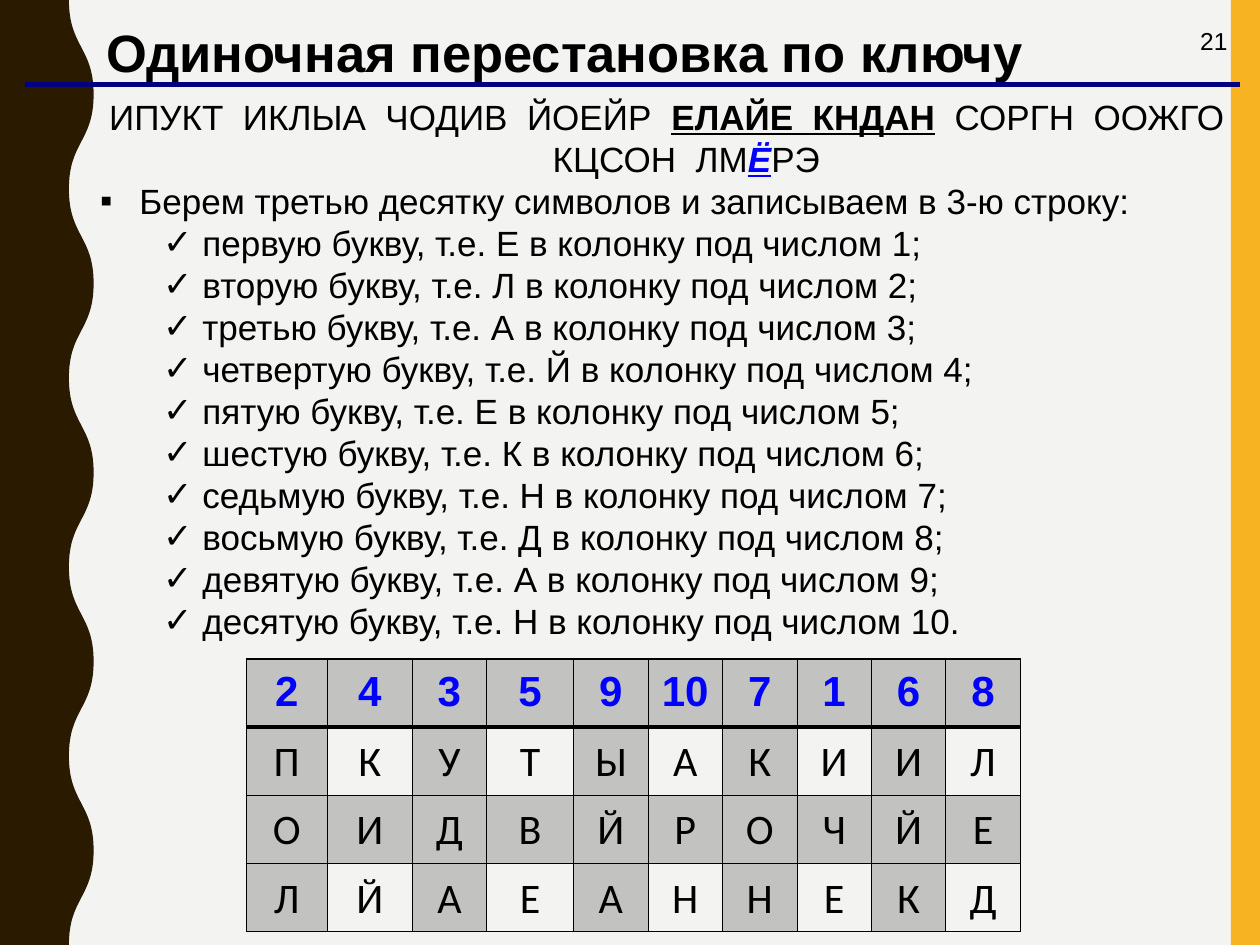
from dataclasses import dataclass
from typing import Optional

from lxml import etree
from pptx import Presentation
from pptx import util as u
from pptx.dml.color import RGBColor
from pptx.enum import shapes, text
from pptx.oxml import ns

COLORS = {
    "background": "F3F3F2",
    "stripe": "F8B323",
    "wave": "2A1A00",
    "ink": "000000",
    "rule": "000080",
    "accent": "0000FF",
}
KEY = (2, 4, 3, 5, 9, 10, 7, 1, 6, 8)
BLOCKS = ("ИПУКТИКЛЫА", "ЧОДИВЙОЕЙР", "ЕЛАЙЕКНДАН")
ORDINALS = ("первую", "вторую", "третью", "четвертую", "пятую",
            "шестую", "седьмую", "восьмую", "девятую", "десятую")
COLUMN_WIDTHS = (46.5, 48.5, 42.5, 49.7) + (42.55,) * 6
ROW_HEIGHT = 38.9


@dataclass
class Span:
    words: str
    color: str = "ink"
    bold: bool = False
    italic: bool = False
    underline: bool = False


@dataclass
class Line:
    spans: list[Span]
    margin: float
    bullet: Optional[str] = None


@dataclass
class Area:
    left: float
    top: float
    width: float
    height: float

    def lengths(self) -> list:
        return [u.Pt(n) for n in (self.left, self.top, self.width, self.height)]


def rgb(name: str) -> RGBColor:
    return RGBColor.from_string(COLORS[name])


def child(parent, tag: str, **attributes: str):
    return etree.SubElement(parent, ns.qn(tag), **attributes)


def style(font, size: float, color: str = "ink", name: str = "Arial",
          bold: bool = False) -> None:
    font.size = u.Pt(size)
    font.name = name
    font.bold = bold
    font.color.rgb = rgb(color)


def paint(shape, color: str) -> None:
    shape.shadow.inherit = False
    shape.fill.solid()
    shape.fill.fore_color.rgb = rgb(color)
    shape.line.fill.background()


def draw_wave(page, inner: float, outer: float, half_wave: float, count: int) -> None:
    nodes = [(u.Pt(outer if n % 2 else inner), u.Pt(half_wave * n))
             for n in range(count + 1)]
    builder = page.shapes.build_freeform(*nodes[0])
    builder.add_line_segments(nodes[1:] + [(0, nodes[-1][1]), (0, 0)], close=True)
    wave = builder.convert_to_shape()
    paint(wave, "wave")
    sides = list(wave._element.iter(ns.qn("a:lnTo")))
    for side, (x0, y0), (x1, y1) in zip(sides, nodes, nodes[1:]):
        middle = (y0 + y1) // 2
        curve = etree.Element(ns.qn("a:cubicBezTo"))
        for x, y in ((x0, middle), (x1, middle), (x1, y1)):
            child(curve, "a:pt", x=str(x), y=str(y))
        side.getparent().replace(side, curve)


def draw_border(cell, position: int, side: str, width: float) -> None:
    border = etree.Element(ns.qn(f"a:ln{side}"), w=str(u.Pt(width)))
    child(child(border, "a:solidFill"), "a:srgbClr", val=COLORS["ink"])
    cell._tc.get_or_add_tcPr().insert(position, border)


def fill_cell(cell, words: str, row: int, column: int) -> None:
    cell.margin_left = cell.margin_right = u.Pt(5.2)
    cell.margin_top = cell.margin_bottom = u.Pt(3.6)
    para = cell.text_frame.paragraphs[0]
    para.text = words
    para.alignment = text.PP_ALIGN.CENTER
    para.line_spacing = 1.07
    if row == 0:
        style(para.runs[0].font, 24, "accent", bold=True)
    else:
        style(para.runs[0].font, 24, name="Calibri")
    if row % 2 == 0 or column % 2 == 0:
        cell.fill.solid()
        cell.fill.fore_color.rgb = rgb("ink")
        tint = cell._tc.tcPr.find(".//" + ns.qn("a:srgbClr"))
        child(tint, "a:alpha", val="20000")
    else:
        cell.fill.background()
    top = {0: 1.08, 1: 2.21}.get(row, 0.45)
    bottom = 2.21 if row == 0 else 0.45
    for position, (side, width) in enumerate(
            (("L", 0.45), ("R", 0.45), ("T", top), ("B", bottom))):
        draw_border(cell, position, side, width)


def draw_table(page) -> None:
    rows = [[str(number) for number in KEY]]
    rows += [[block[number - 1] for number in KEY] for block in BLOCKS]
    area = Area(140.6, 376.6, sum(COLUMN_WIDTHS), ROW_HEIGHT * len(rows))
    table = page.shapes.add_table(len(rows), len(KEY), *area.lengths()).table
    table.first_row = table.horz_banding = False
    for column, width in zip(table.columns, COLUMN_WIDTHS):
        column.width = u.Pt(width)
    for r, words in enumerate(rows):
        table.rows[r].height = u.Pt(ROW_HEIGHT)
        for c, word in enumerate(words):
            fill_cell(table.cell(r, c), word, r, c)


def write_line(para, line: Line) -> None:
    properties = para._p.get_or_add_pPr()
    properties.set("marL", str(u.Pt(line.margin)))
    properties.set("indent", str(u.Pt(-22.5)))
    if line.bullet:
        child(child(properties, "a:buClr"), "a:srgbClr", val=COLORS["ink"])
        child(properties, "a:buFont", typeface="Arial")
        child(properties, "a:buChar", char=line.bullet)
    else:
        child(properties, "a:buNone")
        para.alignment = text.PP_ALIGN.CENTER
    para.line_spacing = u.Pt(24)
    for span in line.spans:
        run = para.add_run()
        run.text = span.words
        style(run.font, 20, span.color, bold=span.bold)
        run.font.italic = span.italic
        run.font.underline = span.underline


def draw_body(page) -> None:
    cipher = [
        Span("ИПУКТ  ИКЛЫА  ЧОДИВ  ЙОЕЙР  "),
        Span("ЕЛАЙЕ  КНДАН", bold=True, underline=True),
        Span("  СОРГН  ООЖГО КЦСОН  ЛМ"),
        Span("Ё", "accent", True, True, True),
        Span("РЭ"),
    ]
    intro = "Берем третью десятку символов и записываем в 3-ю строку:"
    lines = [Line(cipher, 58.5), Line([Span(intro)], 58.5, "▪")]
    for number, (ordinal, letter) in enumerate(zip(ORDINALS, BLOCKS[2]), 1):
        ending = "." if number == len(ORDINALS) else ";"
        words = f"{ordinal} букву, т.е. {letter} в колонку под числом {number}{ending}"
        lines.append(Line([Span(words)], 94.5, "✓"))
    box = page.shapes.add_textbox(*Area(14.1, 50.4, 697.7, 319.7).lengths())
    frame = box.text_frame
    frame.word_wrap = True
    frame.margin_top = u.Pt(4.2)
    for index, line in enumerate(lines):
        write_line(frame.add_paragraph() if index else frame.paragraphs[0], line)


def draw_heading(page) -> None:
    number = page.shapes.add_textbox(*Area(540.7, 10.8, 167.8, 37.4).lengths())
    number.text_frame.word_wrap = True
    number.text_frame.margin_top = u.Pt(4.2)
    para = number.text_frame.paragraphs[0]
    para.text = "21"
    para.alignment = text.PP_ALIGN.RIGHT
    style(para.runs[0].font, 14)

    rule = page.shapes.add_connector(
        shapes.MSO_CONNECTOR.STRAIGHT, *(u.Pt(n) for n in (14.1, 48.2, 708.5, 48.2)))
    rule.line.color.rgb = rgb("rule")
    rule.line.width = u.Pt(3)
    child(rule._element.spPr, "a:effectLst")

    title = page.shapes.title
    title.left, title.top, title.width, title.height = Area(53.7, 7.9, 654.5, 43.2).lengths()
    frame = title.text_frame
    frame.text = "Одиночная перестановка по ключу"
    frame.auto_size = text.MSO_AUTO_SIZE.NONE
    frame.vertical_anchor = text.MSO_ANCHOR.TOP
    frame.margin_top = u.Pt(3.6)
    frame.paragraphs[0].alignment = text.PP_ALIGN.LEFT
    style(frame.paragraphs[0].runs[0].font, 30, bold=True)


def main() -> None:
    deck = Presentation()
    deck.slide_width, deck.slide_height = u.Pt(720), u.Pt(540)
    page = deck.slides.add_slide(deck.slide_layouts.get_by_name("Title Only"))
    page.background.fill.solid()
    page.background.fill.fore_color.rgb = rgb("background")
    stripe = page.shapes.add_shape(
        shapes.MSO_SHAPE.RECTANGLE, *Area(703.4, 0, 16.6, 540).lengths())
    paint(stripe, "stripe")
    draw_wave(page, 39.4, 53.5, 54, 10)
    draw_table(page)
    draw_heading(page)
    draw_body(page)
    deck.save("out.pptx")


if __name__ == "__main__":
    main()
